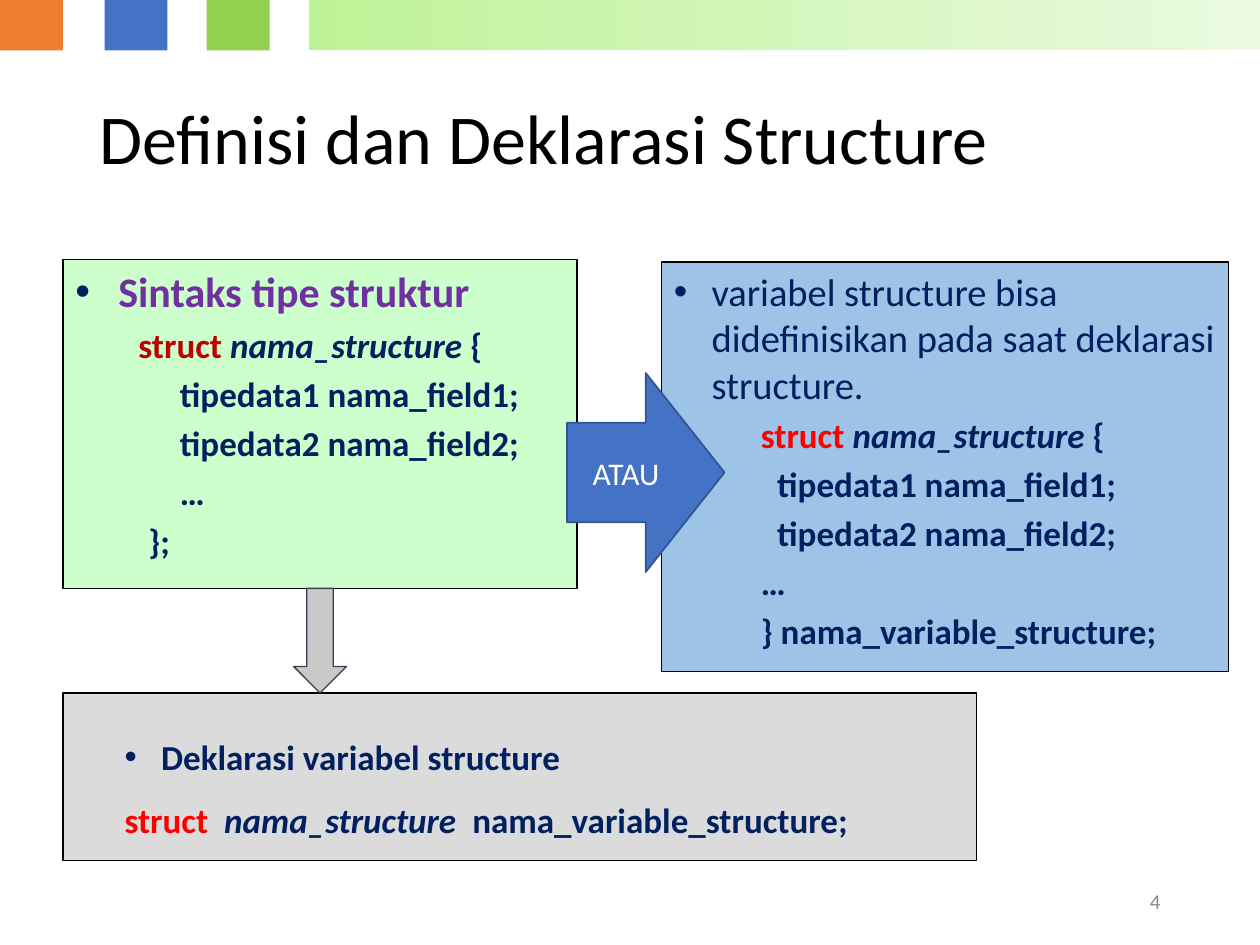
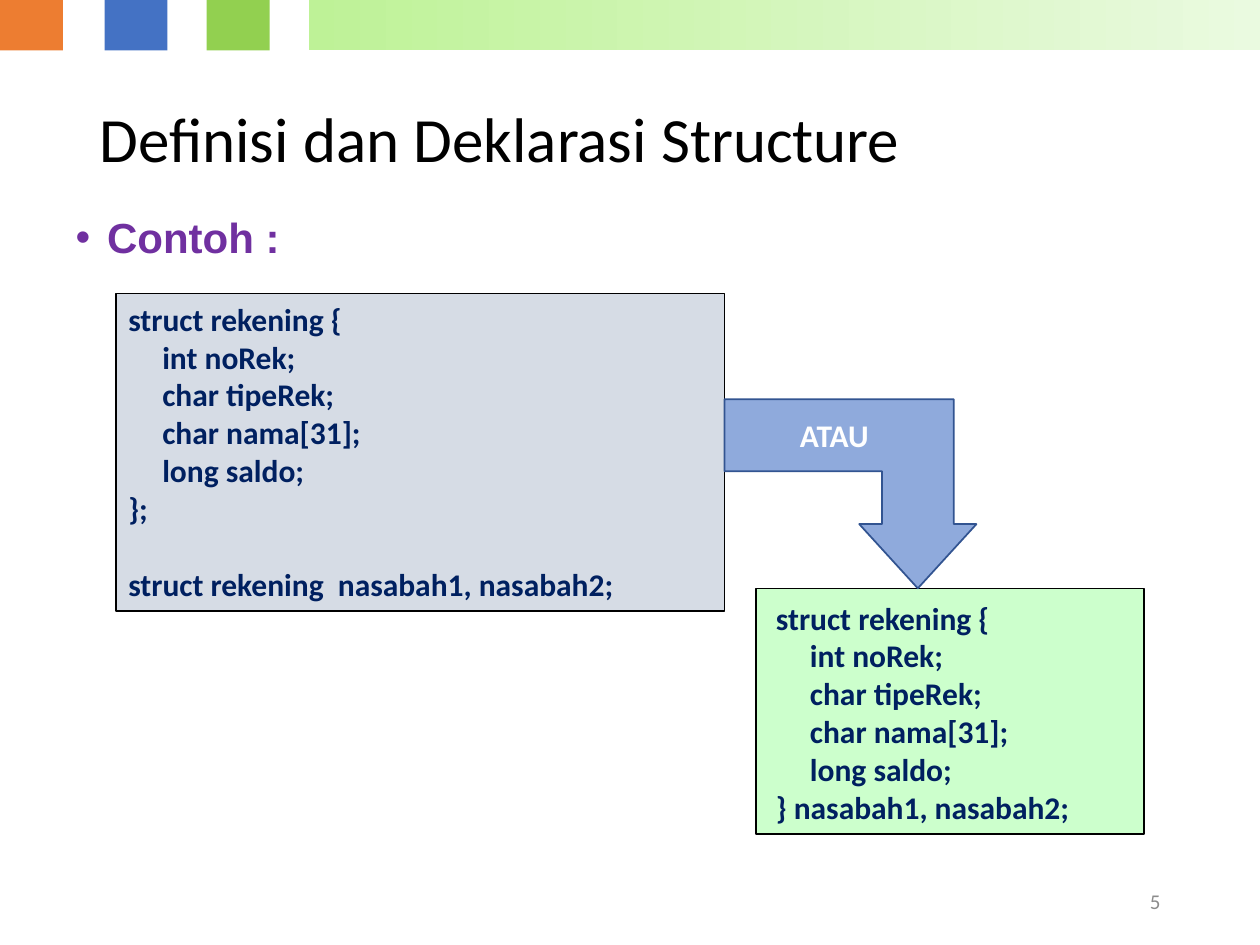
from lxml import etree
from pptx import Presentation
from pptx.dml.color import RGBColor
from pptx.enum.shapes import MSO_SHAPE
from pptx.enum.text import MSO_ANCHOR, MSO_AUTO_SIZE, PP_ALIGN
from pptx.oxml.ns import qn
from pptx.util import Inches, Pt

RECT, DOWN = MSO_SHAPE.RECTANGLE, MSO_SHAPE.DOWN_ARROW
RIGHT, BENT = MSO_SHAPE.RIGHT_ARROW, MSO_SHAPE.BENT_UP_ARROW
TOP, MIDDLE = MSO_ANCHOR.TOP, MSO_ANCHOR.MIDDLE
LEFT, CENTER, FAR = PP_ALIGN.LEFT, PP_ALIGN.CENTER, PP_ALIGN.RIGHT
FIXED = MSO_AUTO_SIZE.NONE

BLACK = RGBColor(0x00, 0x00, 0x00)
WHITE = RGBColor(0xFF, 0xFF, 0xFF)
NAVY = RGBColor(0x00, 0x20, 0x60)
PURPLE = RGBColor(0x70, 0x30, 0xA0)
RED = RGBColor(0xFF, 0x00, 0x00)
MAROON = RGBColor(0xC0, 0x00, 0x00)
ORANGE = RGBColor(0xED, 0x7D, 0x31)
BLUE = RGBColor(0x44, 0x72, 0xC4)
GREEN = RGBColor(0x92, 0xD0, 0x50)
LIME = RGBColor(0xBE, 0xF2, 0x97)
PALE = RGBColor(0xEA, 0xFA, 0xE0)
MINT = RGBColor(0xCC, 0xFF, 0xCC)
SKY = RGBColor(0x9D, 0xC3, 0xE6)
STEEL = RGBColor(0xD6, 0xDC, 0xE5)
DUSK = RGBColor(0x8F, 0xAA, 0xDC)
EDGE = RGBColor(0x32, 0x54, 0x91)
SILVER = RGBColor(0xDB, 0xDB, 0xDB)
ASH = RGBColor(0xC9, 0xC9, 0xC9)
SLATE = RGBColor(0x33, 0x3F, 0x50)
GRAY = RGBColor(0x8C, 0x8C, 0x8C)

FIELDS = ("int noRek;", "char tipeRek;", "char nama[31];", "long saldo;")


class Deck:
    def __init__(self):
        self.file = Presentation()
        self.file.slide_width = Inches(10)
        self.file.slide_height = Inches(7.5)
        self.slide = None

    def page(self, layout, number, size):
        self.slide = self.file.slides.add_slide(self.file.slide_layouts[layout])
        for left, color in ((0, ORANGE), (0.83, BLUE), (1.64, GREEN)):
            self.shape(RECT, (left, 0, 0.5, 0.4), color)
        band = self.shape(RECT, (2.45, 0, 7.55, 0.4), LIME)
        band.fill.gradient()
        band.fill.gradient_angle = 0
        for stop, color in zip(band.fill.gradient_stops, (LIME, PALE)):
            stop.color.rgb = color
        frame = self.holder(self.slide.shapes.title, (0.69, 0.4, 8.62, 1.45), MIDDLE)
        self.para(frame, [("Definisi dan Deklarasi Structure", size, BLACK)], lines=0.9)
        frame = self.label((7.06, 6.95, 2.25, 0.4), MIDDLE)
        self.para(frame, [(number, 12, GRAY)], align=FAR)

    def prepare(self, frame, anchor):
        frame.word_wrap = True
        frame.auto_size = FIXED
        frame.vertical_anchor = anchor
        return frame

    def holder(self, item, area, anchor):
        item.left, item.top, item.width, item.height = map(Inches, area)
        return self.prepare(item.text_frame, anchor)

    def label(self, area, anchor):
        item = self.slide.shapes.add_textbox(*map(Inches, area))
        return self.prepare(item.text_frame, anchor)

    def shape(self, kind, area, fill, line=None, width=0.75, adjust=()):
        item = self.slide.shapes.add_shape(kind, *map(Inches, area))
        item.shadow.inherit = False
        item.fill.solid()
        item.fill.fore_color.rgb = fill
        if line is None:
            item.line.fill.background()
        else:
            item.line.color.rgb = line
            item.line.width = Pt(width)
        for index, value in enumerate(adjust):
            item.adjustments[index] = value
        return item

    def box(self, area, fill, inset=0.05):
        item = self.shape(RECT, area, fill, BLACK)
        frame = self.prepare(item.text_frame, TOP)
        frame.margin_top = Inches(inset)
        return frame

    def para(self, frame, runs, margin=0, indent=0, before=0, bullet=None,
             align=LEFT, lines=None):
        para = frame.paragraphs[0]
        if para.runs:
            para = frame.add_paragraph()
        para.alignment = align
        para.space_before = Pt(before)
        if lines:
            para.line_spacing = lines
        props = para._p.get_or_add_pPr()
        props.set("marL", str(Inches(margin)))
        props.set("indent", str(Inches(indent)))
        if bullet is not None:
            tint = etree.SubElement(props, qn("a:buClr"))
            etree.SubElement(tint, qn("a:srgbClr"), val=str(bullet))
            etree.SubElement(props, qn("a:buFont"), typeface="Arial")
            etree.SubElement(props, qn("a:buChar"), char="•")
        for run in runs:
            self.run(para, *run)

    def run(self, para, text, size, color, bold=False, italic=False, face="Calibri"):
        run = para.add_run()
        run.text = text
        font = run.font
        font.name, font.size = face, Pt(size)
        font.bold, font.italic = bold, italic
        font.color.rgb = color

    def syntax(self, frame, key, margin, rows):
        head = [("struct ", 20, key, True), ("nama_structure", 20, NAVY, True, True),
                (" {", 20, NAVY, True)]
        self.para(frame, head, margin, before=4)
        for text, shift in rows:
            self.para(frame, [(text, 20, NAVY, True)], shift, before=4)

    def code(self, frame, margin, tail):
        rows = [("struct rekening {", margin)]
        rows += [(text, margin + 0.27) for text in FIELDS]
        for text, shift in rows + [(tail, margin)]:
            self.para(frame, [(text, 18, NAVY, True)], shift)


def syntax_page(deck):
    deck.page(5, "4", 40)
    frame = deck.box((0.5, 2.06, 4.08, 2.61), MINT)
    deck.para(frame, [("Sintaks tipe struktur", 24, PURPLE, True)], 0.34, -0.34,
              bullet=NAVY)
    deck.syntax(frame, MAROON, 0.5, (
        ("tipedata1 nama_field1;", 0.83), ("tipedata2 nama_field2;", 0.83),
        ("…", 0.83), ("};", 0.58)))

    frame = deck.box((0.5, 5.5, 7.25, 1.33), SILVER, 0.34)
    deck.para(frame, [("Deklarasi variabel structure", 20, NAVY, True)], 0.68, -0.29,
              bullet=NAVY)
    deck.para(frame, [("struct  ", 20, RED, True),
                      ("nama_structure  ", 20, NAVY, True, True),
                      ("nama_variable_structure;", 20, NAVY, True)],
              0.68, -0.29, before=12)

    frame = deck.box((5.25, 2.08, 4.5, 3.25), SKY)
    deck.para(frame, [("variabel structure bisa didefinisikan pada saat "
                       "deklarasi structure.", 22, NAVY)], 0.3, -0.3, bullet=NAVY)
    deck.syntax(frame, RED, 0.69, (
        ("tipedata1 nama_field1;", 0.82), ("tipedata2 nama_field2;", 0.82),
        ("…", 0.69), ("} nama_variable_structure;", 0.69)))

    deck.shape(DOWN, (2.33, 4.67, 0.42, 0.83), ASH, SLATE)
    arrow = deck.shape(RIGHT, (4.5, 2.96, 1.25, 1.58), BLUE, EDGE, 1)
    frame = deck.prepare(arrow.text_frame, MIDDLE)
    deck.para(frame, [("ATAU", 18, WHITE)], align=CENTER)


def sample_page(deck):
    deck.page(1, "5", 36)
    body = deck.slide.placeholders[1]
    frame = deck.holder(body, (0.5, 1.67, 9, 5.03), TOP)
    deck.para(frame, [("Contoh :", 24, PURPLE, True, False, "Arial")], 0.25, -0.25,
              before=10, bullet=PURPLE, lines=0.9)

    frame = deck.box((0.92, 2.33, 4.83, 2.52), STEEL)
    deck.code(frame, 0, "};")
    deck.para(frame, [("struct rekening  nasabah1, nasabah2;", 18, NAVY, True)],
              before=22)
    frame = deck.box((6, 4.67, 3.08, 1.95), MINT, 0.08)
    deck.code(frame, 0.06, "} nasabah1, nasabah2;")

    arrow = deck.shape(BENT, (5.75, 3.17, 2, 1.5), DUSK, EDGE, 1, (0.38, 0.31, 0.34))
    arrow._element.spPr.find(qn("a:xfrm")).set("flipV", "1")
    frame = deck.label((6.25, 3.25, 1.42, 0.4), TOP)
    deck.para(frame, [("ATAU", 18, WHITE, True)])


def main():
    deck = Deck()
    syntax_page(deck)
    sample_page(deck)
    deck.file.save("out.pptx")


if __name__ == "__main__":
    main()
